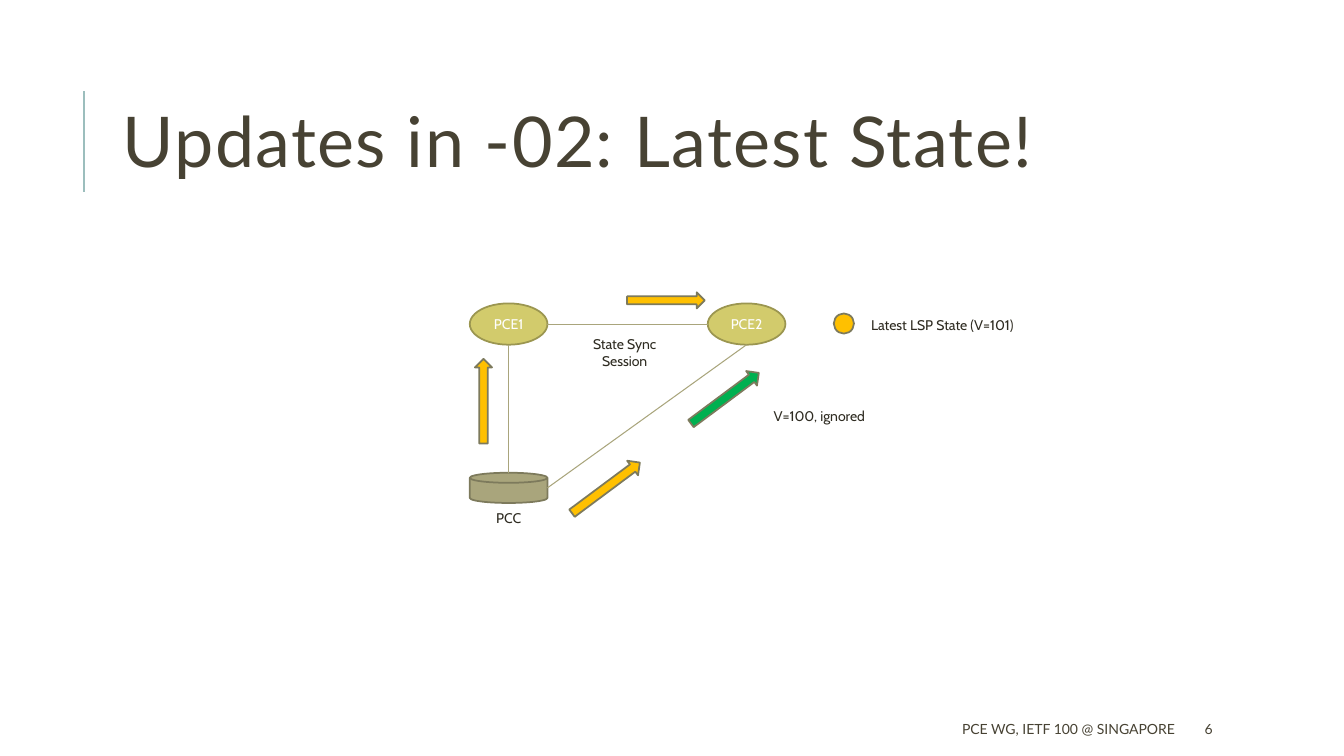
from dataclasses import dataclass
from lxml.etree import SubElement
from pptx import Presentation
from pptx.dml.color import RGBColor
from pptx.enum.shapes import MSO_CONNECTOR as CONN, MSO_SHAPE as SHAPE
from pptx.enum.text import MSO_ANCHOR as ANCHOR, PP_ALIGN as ALIGN
from pptx.oxml.ns import qn
from pptx.util import Inches, Pt


@dataclass(frozen=True)
class Theme:
    heading_font: str = "Lato"
    body_font: str = "Cabin"
    title_size: float = 50
    small_size: float = 10
    heading: str = "474233"
    body: str = "2E2B21"
    white: str = "FFFFFF"
    accent: str = "9CBEBD"
    link: str = "A9A57C"
    outline: str = "7D7A5C"
    pce: str = "D2CB6C"
    pce_outline: str = "9B9650"
    latest: str = "FFC000"
    stale: str = "00B050"
    outline_width: float = 1.25
    link_width: float = 0.75
    accent_width: float = 1.5


class SlideBuilder:
    def __init__(self, slide, theme):
        self.s = slide
        self.t = theme

    def set_text(self, sp, text, size, font, color, align, anchor):
        tf = sp.text_frame
        tf.text = text
        tf.vertical_anchor = anchor
        p = tf.paragraphs[0]
        p.alignment = align
        r = p.runs[0]
        r.font.size = Pt(size)
        r.font.name = font
        r.font.color.rgb = RGBColor.from_string(color)
        return p

    def textbox(self, text, box, size, font, color, align, anchor, wrap=True):
        sp = self.s.shapes.add_textbox(*map(Inches, box))
        sp.text_frame.word_wrap = wrap
        return self.set_text(sp, text, size, font, color, align, anchor)

    def title(self, text, box):
        p = self.textbox(text, box, self.t.title_size, self.t.heading_font,
                         self.t.heading, ALIGN.LEFT, ANCHOR.MIDDLE)
        p.line_spacing = 0.8
        p.runs[0].font._element.set("spc", "100")

    def footer(self, text, box, align):
        self.textbox(text, box, self.t.small_size, self.t.heading_font,
                     self.t.heading, align, ANCHOR.MIDDLE)

    def label(self, text, box, wrap=True):
        self.textbox(text, box, self.t.small_size, self.t.body_font,
                     self.t.body, ALIGN.CENTER, ANCHOR.TOP, wrap)

    def shape(self, kind, box, fill, outline=None, rotation=0):
        sp = self.s.shapes.add_shape(kind, *map(Inches, box))
        sp.shadow.inherit = False
        sp.fill.solid()
        sp.fill.fore_color.rgb = RGBColor.from_string(fill)
        sp.line.color.rgb = RGBColor.from_string(outline or self.t.outline)
        sp.line.width = Pt(self.t.outline_width)
        sp.rotation = rotation
        return sp

    def pce(self, name, box):
        sp = self.shape(SHAPE.OVAL, box, self.t.pce, self.t.pce_outline)
        self.set_text(sp, name, self.t.small_size, self.t.body_font,
                      self.t.white, ALIGN.CENTER, ANCHOR.MIDDLE)

    def line(self, start, end, color, width):
        c = self.s.shapes.add_connector(CONN.STRAIGHT, *map(Inches, start + end))
        c.line.color.rgb = RGBColor.from_string(color)
        c.line.width = Pt(width)
        SubElement(c._element.spPr, qn("a:effectLst"))

    def link(self, start, end):
        self.line(start, end, self.t.link, self.t.link_width)


theme = Theme()
prs = Presentation()
prs.slide_width, prs.slide_height = Inches(13.33), Inches(7.5)
slide = SlideBuilder(prs.slides.add_slide(prs.slide_layouts[6]), theme)

slide.line((0.83, 1.9), (0.83, 0.9), theme.accent, theme.accent_width)
slide.title("Updates in -02: Latest State!", (1.12, 0.64, 10.63, 1.64))
slide.footer("PCE WG, IETF 100 @ SINGAPORE", (5.3, 7.08, 6.45, 0.3), ALIGN.RIGHT)
slide.footer("6", (11.85, 7.08, 1.06, 0.3), ALIGN.LEFT)

node_w, pce_h, pcc_h = 0.77, 0.41, 0.3
left_x, right_x, pce_y, pcc_y = 4.66, 7.02, 3.01, 4.69
left_mid, right_mid = left_x + node_w / 2, right_x + node_w / 2
left_edge, pce_mid, pce_bottom = left_x + node_w, pce_y + pce_h / 2, pce_y + pce_h

slide.shape(SHAPE.FLOWCHART_MAGNETIC_DISK, (left_x, pcc_y, node_w, pcc_h), theme.link)
for name, x in (("PCE1", left_x), ("PCE2", right_x)):
    slide.pce(name, (x, pce_y, node_w, pce_h))
slide.label("PCC", (4.81, 5.01, 0.47, 0.27), wrap=False)

slide.link((left_mid, pce_bottom), (left_mid, pcc_y))
slide.link((left_edge, pce_mid), (right_x, pce_mid))
slide.link((left_edge, pcc_y + pcc_h / 2), (right_mid, pce_bottom))
slide.label("State Sync Session", (5.62, 3.28, 1.15, 0.44))

arrows = (
    (SHAPE.DOWN_ARROW, (4.71, 3.56, 0.17, 0.84), theme.latest, 180),
    (SHAPE.DOWN_ARROW, (5.92, 4.42, 0.18, 0.84), theme.latest, 233.3),
    (SHAPE.RIGHT_ARROW, (6.22, 2.9, 0.77, 0.16), theme.latest, 0),
    (SHAPE.DOWN_ARROW, (7.1, 3.53, 0.18, 0.84), theme.stale, 233.3),
)
for kind, box, fill, rotation in arrows:
    slide.shape(kind, box, fill, rotation=rotation)

slide.shape(SHAPE.OVAL, (8.27, 3.11, 0.2, 0.2), theme.latest)
slide.label("Latest LSP State (V=101)", (8.4, 3.09, 1.89, 0.27))
slide.label("V=100, ignored", (7.18, 3.99, 1.89, 0.27))

prs.save("out.pptx")
